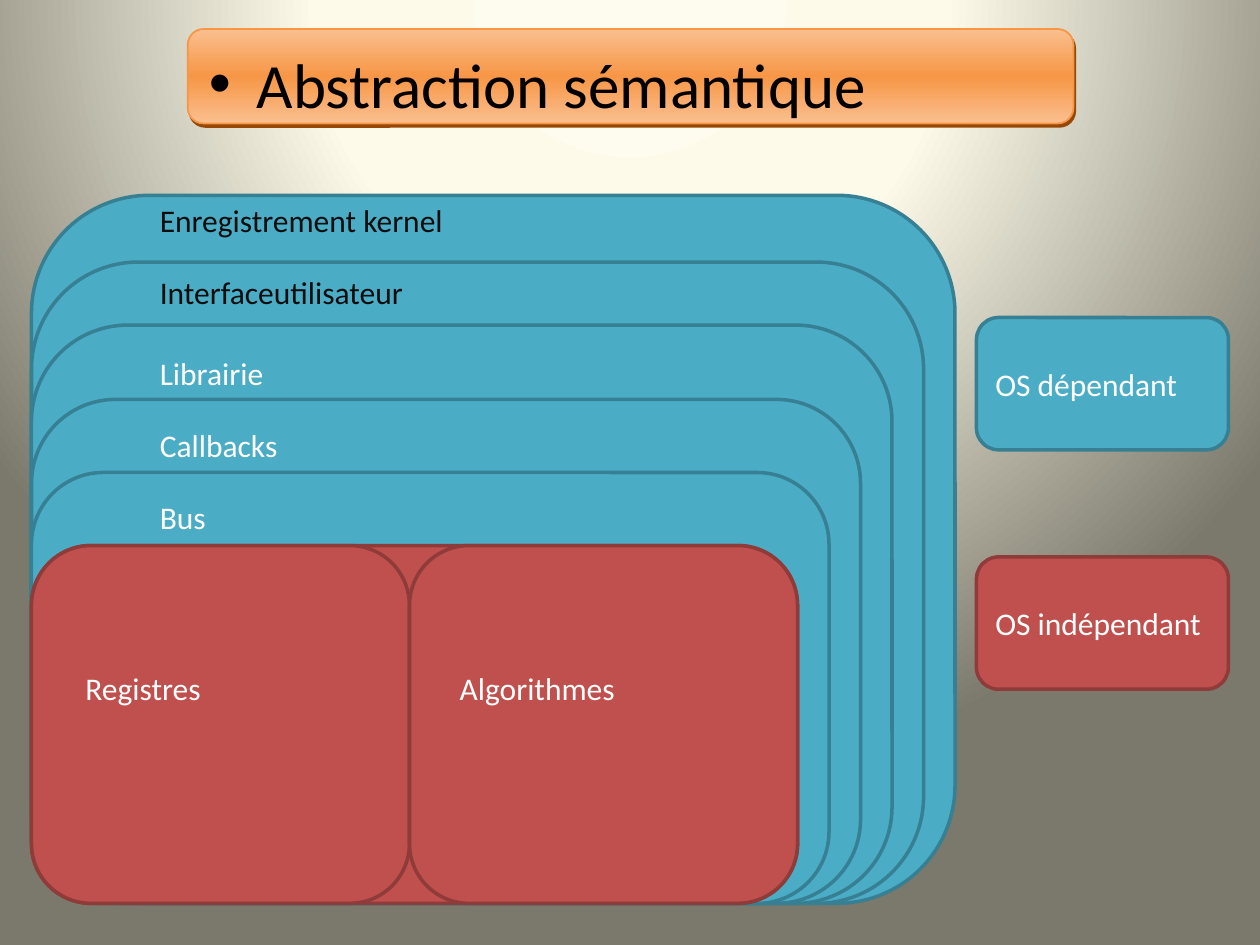
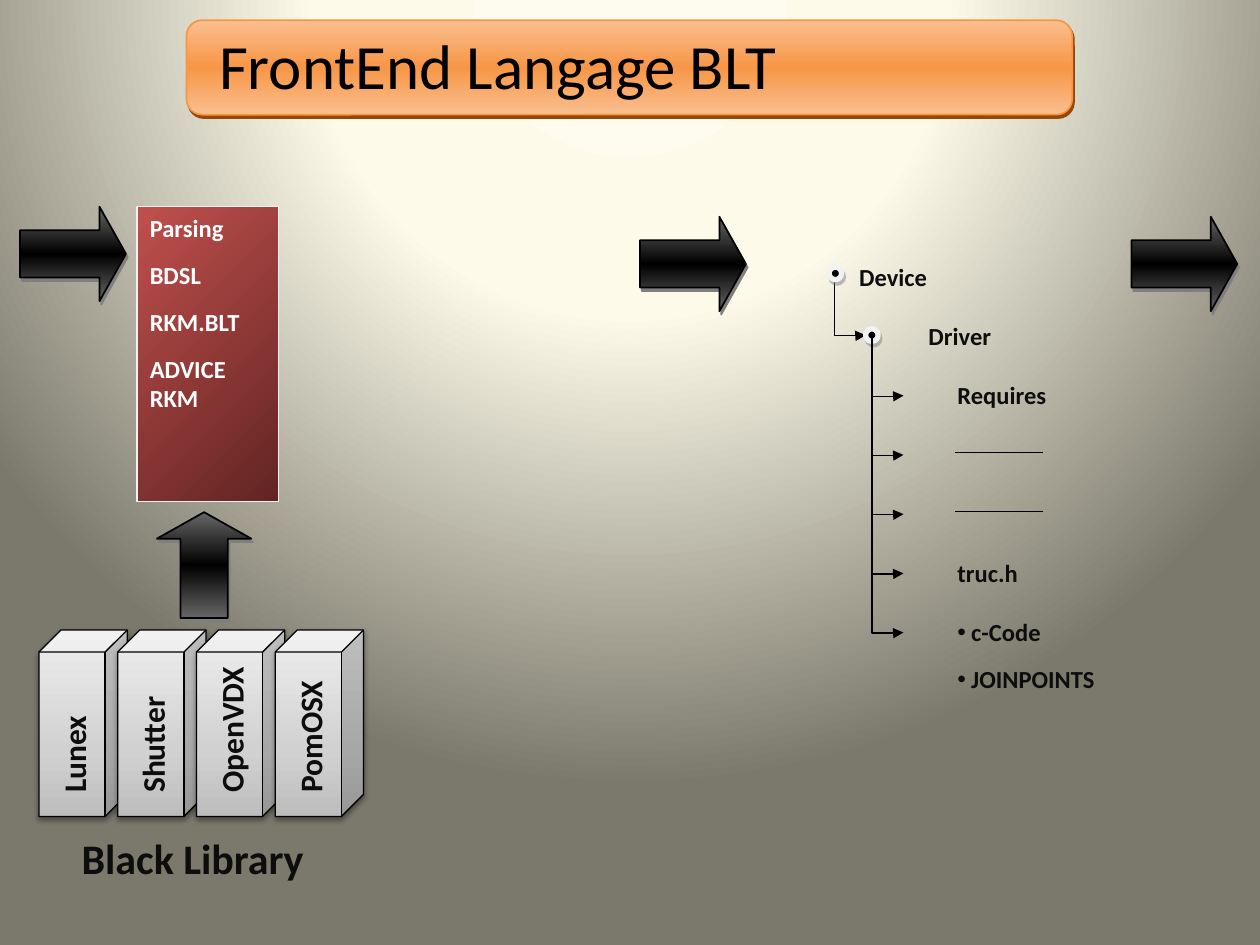
from lxml import etree
from pptx import Presentation
from pptx import util as u
from pptx.dml.color import RGBColor
from pptx.enum import shapes, text
from pptx.oxml import ns

FONT = "Calibri"
KIND = shapes.MSO_SHAPE
COLORS = {
    "black": "000000", "white": "FFFFFF", "ink": "0D0D0D", "pale": "F2F2F2",
    "gray": "7F7F7F", "steel": "666666",
    "cream": "FEFCEE", "ivory": "FDFAEA", "olive": "7B796B",
    "orange": "F79646", "peach": "FABF8F", "brown": "974706",
    "teal": "4BACC6", "teal_edge": "377F92",
    "red": "C0504D", "red_edge": "8E3B39", "maroon": "622423",
    "cube_low": "BDBDBD", "cube_mid": "D1D1D1", "cube_high": "EEEEEE",
}
# Gradients: stops in percent and an angle in degrees (None is radial)
BACKDROP = [(0, "cream"), (40, "ivory"), (100, "olive")], None
BAND = [(0, "peach"), (50, "orange"), (100, "peach")], 90
ARROW = [(0, "steel"), (50, "black"), (100, "steel")], 90
PARSER = [(0, "red"), (100, "maroon")], 45
CUBE = [(0, "cube_low"), (35, "cube_mid"), (100, "cube_high")], 270


def rgb(name):
    return RGBColor.from_string(COLORS[name])


def inches(*lengths):
    return [u.Inches(length) for length in lengths]


def child(parent, tag, **attributes):
    values = {key: str(value) for key, value in attributes.items()}
    return etree.SubElement(parent, ns.qn(tag), values)


def set_gradient(fill, owner, gradient):
    """Give the fill of an owner element its stops and direction."""
    stops, angle = gradient
    fill.gradient()
    grad = owner.xpath(".//a:gradFill")[0]
    for old in list(grad):
        grad.remove(old)
    grad.set("rotWithShape", "0")
    stop_list = child(grad, "a:gsLst")
    for percent, color in stops:
        stop = child(stop_list, "a:gs", pos=percent * 1000)
        child(stop, "a:srgbClr", val=COLORS[color])
    if angle is None:
        radial = child(grad, "a:path", **{"path": "circle"})
        child(radial, "a:fillToRect", l=50000, t=-80000, r=50000, b=180000)
    else:
        child(grad, "a:lin", ang=angle * 60000, scaled=0)


def set_shadow(shape, color, alpha=100, blur=0, dist=2.2, angle=63):
    effects = shape.element.spPr.find(ns.qn("a:effectLst"))
    shadow = child(effects, "a:outerShdw", blurRad=u.Pt(blur), dist=u.Pt(dist),
                   dir=angle * 60000, algn="ctr", rotWithShape=0)
    tint = child(shadow, "a:srgbClr", val=COLORS[color])
    child(tint, "a:alpha", val=alpha * 1000)


def add_box(slide, kind, box, fill, edge, width=1.0, adjust=()):
    shape = slide.shapes.add_shape(kind, *inches(*box))
    shape.shadow.inherit = False
    for i, value in enumerate(adjust):
        shape.adjustments[i] = value
    if isinstance(fill, str):
        shape.fill.solid()
        shape.fill.fore_color.rgb = rgb(fill)
    else:
        set_gradient(shape.fill, shape.element.spPr, fill)
    shape.line.color.rgb = rgb(edge)
    shape.line.width = u.Pt(width)
    return shape


def write(shape, content, size=18, color="white", bold=False, after=0,
          bullet_indent=None, anchor=text.MSO_ANCHOR.TOP):
    """Fill a shape with text, one paragraph a line."""
    frame = shape.text_frame
    frame.word_wrap = True
    frame.vertical_anchor = anchor
    frame.text = content
    for paragraph in frame.paragraphs:
        paragraph.alignment = text.PP_ALIGN.LEFT
        paragraph.space_after = u.Pt(after)
        font = paragraph.font
        font.name, font.size, font.bold = FONT, u.Pt(size), bold
        font.color.rgb = rgb(color)
        for run in paragraph.runs:
            run.font.name, run.font.size, run.font.bold = FONT, u.Pt(size), bold
            run.font.color.rgb = rgb(color)
        if bullet_indent:
            props = paragraph._p.get_or_add_pPr()
            indent = u.Inches(bullet_indent)
            props.set("marL", str(indent))
            props.set("indent", str(-indent))
            bullet_font = etree.Element(ns.qn("a:buFont"), typeface="Arial")
            bullet = etree.Element(ns.qn("a:buChar"), char="•")
            defaults = props.find(ns.qn("a:defRPr"))
            defaults.addprevious(bullet_font)
            defaults.addprevious(bullet)


def add_text(slide, box, content, **style):
    label = slide.shapes.add_textbox(*inches(*box))
    write(label, content, **style)
    return label


def add_line(slide, kind, start, end):
    line = slide.shapes.add_connector(kind, *inches(*start, *end))
    line.line.color.rgb = rgb("black")
    line.line.width = u.Pt(0.75)
    child(line.element.spPr, "a:effectLst")
    return line


def new_slide(prs):
    slide = prs.slides.add_slide(prs.slide_layouts[6])
    set_gradient(slide.background.fill, slide.element, BACKDROP)
    return slide


def title_band(slide, left, top, title, text_box, **style):
    band = add_box(slide, KIND.ROUNDED_RECTANGLE, (left, top, 7.03, 0.75),
                   BAND, "orange", adjust=[0.167])
    set_shadow(band, "brown")
    dx, dy, width, height = text_box
    add_text(slide, (left + dx, top + dy, width, height), title,
             size=36, color="black", **style)


# Slide 1: nested layers
def layer_stack(slide, left, top, width, height):
    def panel(x, y, w, color):
        add_box(slide, KIND.ROUNDED_RECTANGLE,
                (left + x, top + y, w, height - y), color, color + "_edge", 2)

    # Each layer is a quarter inch narrower than the one around it
    core_top, half = 2.78, 3.0
    offsets = [0, 0.53, 1.03, 1.62, 2.2, core_top]
    for i, offset in enumerate(offsets):
        panel(0, offset, width - 0.25 * i,
              "red" if offset == core_top else "teal")
    panel(0, core_top, half, "red")
    panel(half, core_top, 3.08, "red")

    layers = [("Enregistrement kernel", 0, "ink"),
              ("Interfaceutilisateur", 0.57, "ink"),
              ("Librairie", 1.21, "white"),
              ("Callbacks", 1.78, "white"),
              ("Bus", 2.35, "white")]
    for name, offset, color in layers:
        add_text(slide, (left + 0.92, top + offset, 7, 0.4), name, color=color)
    for name, x in [("Registres", 0.33), ("Algorithmes", half + 0.3)]:
        add_text(slide, (left + x, top + 3.71, 2.15, 1.62), name)


def legend(slide, left, top):
    for i, (name, color) in enumerate([("OS dépendant", "teal"),
                                       ("OS indépendant", "red")]):
        key = add_box(slide, KIND.ROUNDED_RECTANGLE,
                      (left, top + 1.9 * i, 2, 1.05),
                      color, color + "_edge", 2)
        write(key, name, anchor=text.MSO_ANCHOR.MIDDLE)


# Slide 2: front end
def flow_arrow(slide, left, top, rotation=0):
    arrow = add_box(slide, KIND.RIGHT_ARROW, (left, top, 0.84, 0.75),
                    ARROW, "black", adjust=[0.5, 0.28])
    arrow.rotation = rotation
    set_shadow(arrow, "gray")


def parser_panel(slide, left, top):
    add_box(slide, KIND.RECTANGLE, (left, top, 1.12, 2.34), PARSER, "pale")
    add_text(slide, (left, top, 1.12, 1.35),
             "Parsing\nBDSL\nRKM.BLT\nADVICE RKM", size=14, bold=True, after=10)


def library(slide, left, top):
    systems = [("Lunex", 0.84), ("Shutter", 1.23),
               ("OpenVDX", 1.23), ("PomOSX", 1.15)]
    for i, (name, length) in enumerate(systems):
        x = left + 0.625 * i
        cube = add_box(slide, KIND.CUBE, (x, top, 0.7, 1.48),
                       CUBE, "black", 0.75)
        set_shadow(cube, "black", alpha=38, blur=3.1, dist=1.6, angle=90)
        # Labels read upwards and all start at the same height
        center_x, center_y = x + 0.23, top + 1.39 - length / 2
        label = add_text(slide, (center_x - length / 2, center_y - 0.155,
                                 length, 0.31),
                         name, color="ink", bold=True, after=10)
        label.rotation = 270
    add_text(slide, (left + 0.24, top + 1.56, 2.03, 0.47), "Black Library",
             size=24, color="ink", bold=True, after=10)


def branch(slide, left, top):
    """Elbow that goes down, then right to an arrowhead."""
    drop, reach = 0.49, 0.25
    center_x, center_y = left + reach / 2, top + drop / 2
    elbow = add_line(slide, shapes.MSO_CONNECTOR.ELBOW,
                     (center_x + drop / 2, center_y - reach / 2),
                     (center_x - drop / 2, center_y + reach / 2))
    props = elbow.element.spPr
    props.find(ns.qn("a:xfrm")).set("rot", str(270 * 60000))
    guides = props.find(ns.qn("a:prstGeom")).find(ns.qn("a:avLst"))
    child(guides, "a:gd", name="adj1", fmla="val 101000")
    child(props.find(ns.qn("a:ln")), "a:tailEnd", type="triangle")


def syntax_tree(slide, left, top):
    row = 0.47
    root_x, driver_x, leaf_x = left + 0.04, left + 0.34, left + 0.92
    branch(slide, root_x, top + 0.05)
    for x, y in [(0, 0), (0.29, 0.49)]:
        node = add_box(slide, KIND.OVAL, (left + x, top + y, 0.1, 0.1),
                       "black", "pale", 3)
        set_shadow(node, "gray", alpha=50)
    for i in range(1, 6):
        branch(slide, driver_x, top + 0.06 + row * i)

    style = dict(size=14, color="ink", bold=True, after=10)
    labels = [("Device", left + 0.14, 0), ("Driver", left + 0.69, 1),
              ("Requires", leaf_x, 2), ("truc.h", leaf_x, 5)]
    for name, x, i in labels:
        add_text(slide, (x, top - 0.09 + row * i, 1.05, 0.31), name, **style)
    add_text(slide, (leaf_x, top - 0.09 + row * 6, 1.33, 1.02),
             "c-Code\nJOINPOINTS", bullet_indent=0.11, **style)
    # Unnamed leaves
    for i in (3, 4):
        y = top + 0.06 + row * i
        add_line(slide, shapes.MSO_CONNECTOR.STRAIGHT,
                 (leaf_x + 0.08, y), (leaf_x + 0.78, y))


def main():
    prs = Presentation()
    prs.slide_width, prs.slide_height = inches(10, 7.5)

    abstraction = new_slide(prs)
    title_band(abstraction, 1.49, 0.23, "Abstraction sémantique",
               (0.07, 0.08, 6.8, 0.71), bullet_indent=0.38)
    layer_stack(abstraction, 0.25, 1.55, 7.33, 5.62)
    legend(abstraction, 7.75, 2.52)

    front_end = new_slide(prs)
    title_band(front_end, 1.48, 0.16, "FrontEnd Langage BLT",
               (0.16, 0, 6.95, 0.75), after=10)
    parser_panel(front_end, 1.09, 1.64)
    for left, top, rotation in [(0.16, 1.64, 0), (5.08, 1.72, 0),
                                (8.98, 1.72, 0), (1.2, 4.11, 270)]:
        flow_arrow(front_end, left, top, rotation)
    library(front_end, 0.31, 5)
    syntax_tree(front_end, 6.58, 2.12)

    prs.save("out.pptx")


main()
